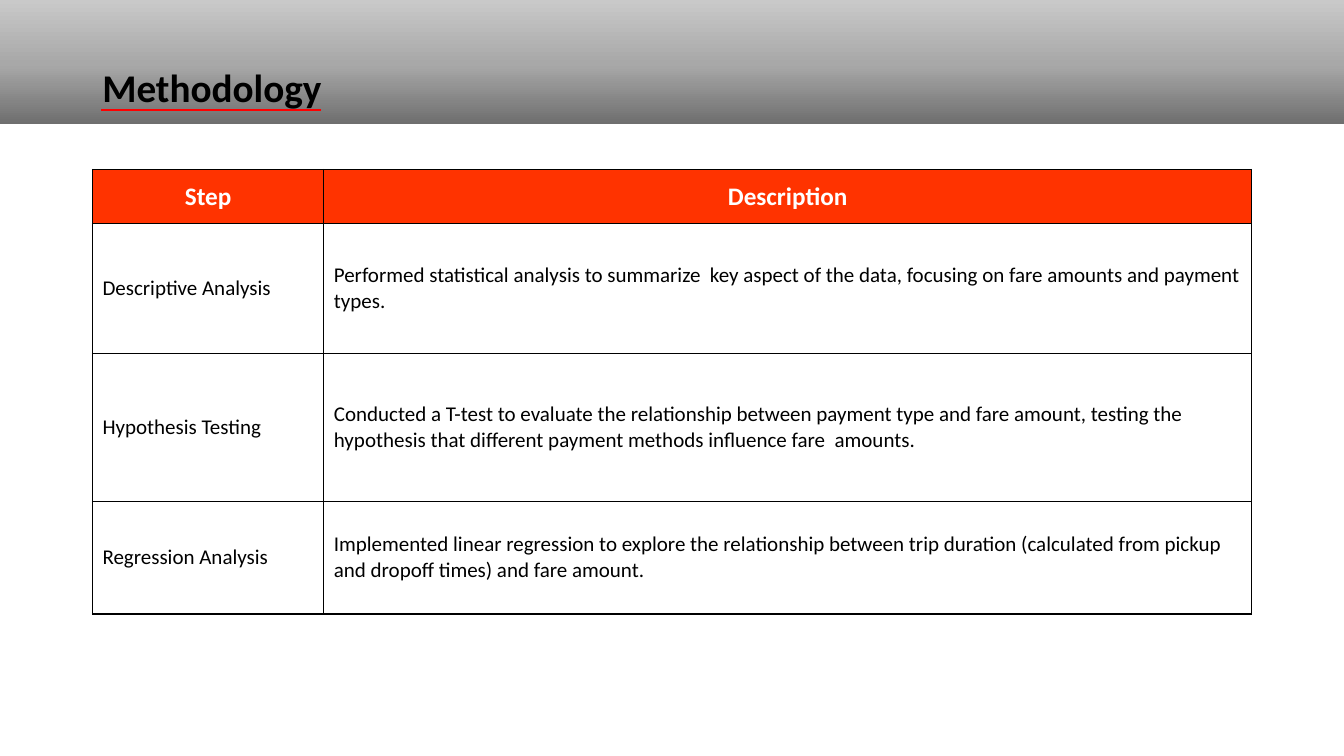
from copy import deepcopy

from lxml import etree
from pptx import Presentation
from pptx.dml.color import RGBColor
from pptx.enum.shapes import MSO_CONNECTOR, MSO_SHAPE
from pptx.enum.text import MSO_ANCHOR, PP_ALIGN
from pptx.oxml.ns import qn
from pptx.util import Cm, Pt

RECTANGLE = MSO_SHAPE.RECTANGLE
STRAIGHT = MSO_CONNECTOR.STRAIGHT
MIDDLE = MSO_ANCHOR.MIDDLE
LEFT, CENTER = PP_ALIGN.LEFT, PP_ALIGN.CENTER

# Content
TITLE = "Methodology"
HEADINGS = ("Step", "Description")
STEPS = [
    ("Descriptive Analysis",
     "Performed statistical analysis to summarize  key aspect of the data, "
     "focusing on fare amounts and payment types."),
    ("Hypothesis Testing",
     "Conducted a T-test to evaluate the relationship between payment type and fare amount, "
     "testing the hypothesis that different payment methods influence fare  amounts."),
    ("Regression Analysis",
     "Implemented linear regression to explore the relationship between trip duration "
     "(calculated from pickup and dropoff times) and fare amount."),
]

# Style and layout, lengths in centimetres
FONT = "Calibri"
COLOURS = {"text": "000000", "header": "FF3300", "header_text": "FFFFFF", "rule": "FF0000"}
BANNER_STOPS = [(0, "6F6F6F"), (48, "A8A8A8"), (100, "C9C9C9")]
PAGE_WIDTH, PAGE_HEIGHT = 33.87, 19.05
MARGIN = 2.33
BANNER_HEIGHT = 3.12
TITLE_TOP, TITLE_HEIGHT = 1.57, 1.4
RULE_LEFT, RULE_RIGHT, RULE_TOP = 2.55, 8.1, 2.77
TABLE_TOP = 4.27
COLUMN_WIDTHS = (5.83, 23.38)
ROW_HEIGHTS = (1.37, 3.27, 3.72, 2.84)


def colour(name):
    return RGBColor.from_string(COLOURS[name])


def write(para, text, size, colour_name, bold):
    span = para.add_run()
    span.text = text
    span.font.name = FONT
    span.font.size = Pt(size)
    span.font.bold = bold
    span.font.color.rgb = colour(colour_name)


def add_borders(cell):
    properties = cell._tc.get_or_add_tcPr()
    for side in ("a:lnL", "a:lnR", "a:lnT", "a:lnB"):
        border = etree.SubElement(properties, qn(side), w=str(Pt(1)))
        fill = etree.SubElement(border, qn("a:solidFill"))
        etree.SubElement(fill, qn("a:srgbClr"), val=COLOURS["text"])


deck = Presentation()
deck.slide_width, deck.slide_height = Cm(PAGE_WIDTH), Cm(PAGE_HEIGHT)
page = deck.slides.add_slide(deck.slide_layouts[6])

# Banner, dark at the bottom and light at the top
banner = page.shapes.add_shape(RECTANGLE, 0, 0, Cm(PAGE_WIDTH), Cm(BANNER_HEIGHT))
banner.shadow.inherit = False
banner.line.fill.background()
banner.fill.gradient()
banner.fill.gradient_angle = 90
stop_list = banner.fill._fill._gradFill.find(qn("a:gsLst"))
stop_list.append(deepcopy(stop_list[-1]))
for stop, (position, shade) in zip(banner.fill.gradient_stops, BANNER_STOPS):
    stop.position = position / 100
    stop.color.rgb = RGBColor.from_string(shade)

# Title
box = page.shapes.add_textbox(Cm(MARGIN), Cm(TITLE_TOP), Cm(sum(COLUMN_WIDTHS)), Cm(TITLE_HEIGHT))
box.text_frame.word_wrap = True
box.text_frame.vertical_anchor = MIDDLE
title_para = box.text_frame.paragraphs[0]
title_para.line_spacing = 0.9
write(title_para, TITLE, 28, "text", True)

# Table of steps
rows = [HEADINGS, *STEPS]
table = page.shapes.add_table(
    len(rows), len(HEADINGS), Cm(MARGIN), Cm(TABLE_TOP),
    Cm(sum(COLUMN_WIDTHS)), Cm(sum(ROW_HEIGHTS))).table
for column, width in zip(table.columns, COLUMN_WIDTHS):
    column.width = Cm(width)
for row, height in zip(table.rows, ROW_HEIGHTS):
    row.height = Cm(height)

for row_index, texts in enumerate(rows):
    is_header = row_index == 0
    for column_index, text in enumerate(texts):
        cell = table.cell(row_index, column_index)
        cell.vertical_anchor = MIDDLE
        add_borders(cell)
        para = cell.text_frame.paragraphs[0]
        if is_header:
            cell.fill.solid()
            cell.fill.fore_color.rgb = colour("header")
            para.alignment = CENTER
            write(para, text, 18, "header_text", True)
        else:
            cell.fill.background()
            para.alignment = LEFT
            write(para, text, 15, "text", False)

# Rule under the title
rule = page.shapes.add_connector(
    STRAIGHT, Cm(RULE_LEFT), Cm(RULE_TOP), Cm(RULE_RIGHT), Cm(RULE_TOP))
rule.line.color.rgb = colour("rule")
rule.line.width = Pt(1)
etree.SubElement(rule._element.spPr, qn("a:effectLst"))

deck.save("out.pptx")
